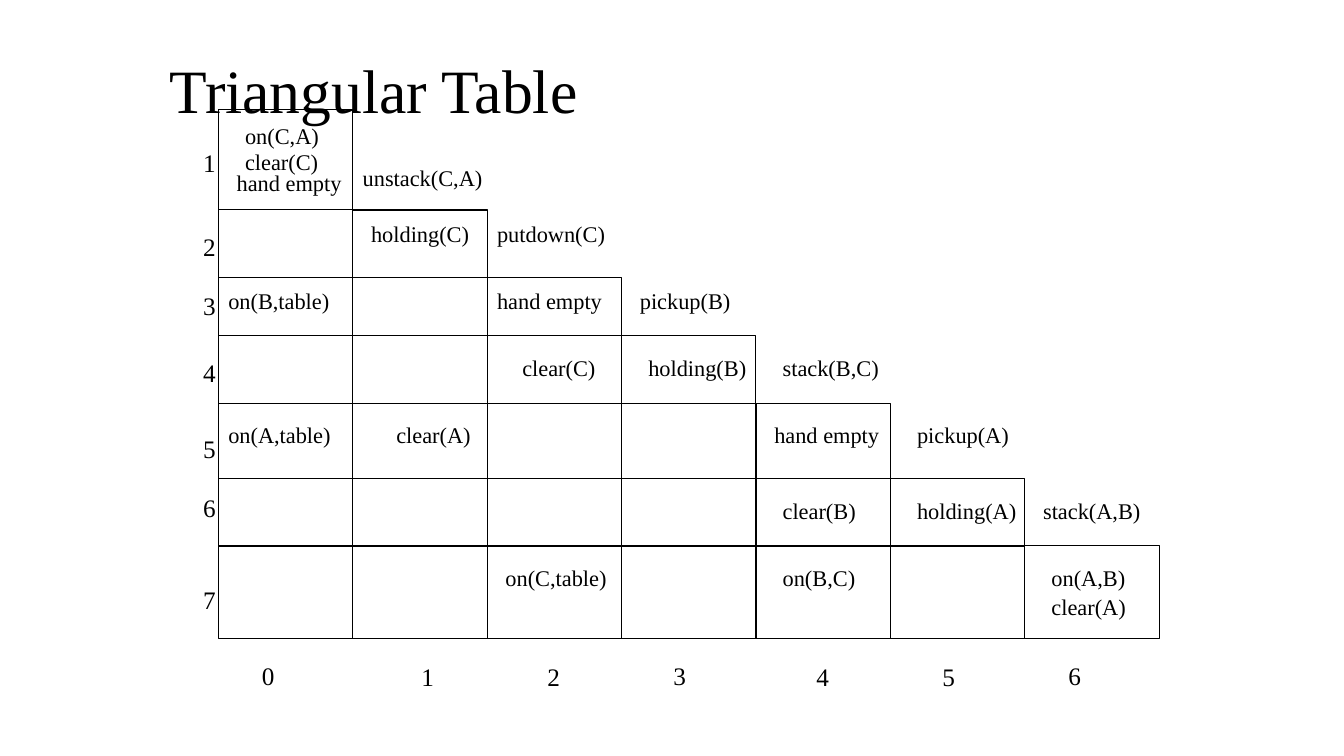
import dataclasses

import pptx
import pptx.dml.color
import pptx.enum.shapes
import pptx.enum.text
import pptx.oxml.ns
import pptx.util
from lxml import etree

COLOURS = {"ink": "000000", "paper": "FFFFFF"}
FONT = "Times New Roman"

# The slide is a grid of 160 by 90 square units, twelve to the inch
UNIT = pptx.util.Inches(1) / 12
SLIDE_WIDTH, SLIDE_HEIGHT = 160, 90

# Triangle: seven equal columns, each starting one row lower
LEFT, COLUMN_WIDTH = 26, 16
ROW_TOPS = [13, 25, 33, 40, 48, 57, 65]
BOTTOM = 76

# Numbers beside the rows and under the columns
ROW_NUMBER_LEFT, COLUMN_NUMBER_TOP = 23, 78
ROW_NUMBER_TOPS = [17, 27, 34, 42, 51, 58, 69]
COLUMN_NUMBER_LEFTS = [30, 49, 64, 79, 96, 111, 126]


@dataclasses.dataclass
class Label:
    text: str
    left: float
    top: float
    width: float = 19
    height: float = 4.4
    size: int = 16


@dataclasses.dataclass
class Fact:
    """A predicate or action, set in from the left edge of its column."""
    text: str
    column: int
    inset: float


# Facts by the height of their line of text
FACTS = {
    14: [Fact("on(C,A)", 0, 2)],
    17: [Fact("clear(C)", 0, 2)],
    19: [Fact("unstack(C,A)", 1, 0)],
    19.6: [Fact("hand empty", 0, 1)],
    25.6: [Fact("holding(C)", 1, 1), Fact("putdown(C)", 2, 0)],
    33.6: [Fact("on(B,table)", 0, 0), Fact("hand empty", 2, 0), Fact("pickup(B)", 3, 1)],
    41.6: [Fact("clear(C)", 2, 3), Fact("holding(B)", 3, 2), Fact("stack(B,C)", 4, 2)],
    49.6: [Fact("on(A,table)", 0, 0), Fact("clear(A)", 1, 4),
           Fact("hand empty", 4, 1), Fact("pickup(A)", 5, 2)],
    58.6: [Fact("clear(B)", 4, 2), Fact("holding(A)", 5, 2), Fact("stack(A,B)", 6, 1)],
    66.6: [Fact("on(C,table)", 2, 1), Fact("on(B,C)", 4, 2), Fact("on(A,B)", 6, 2)],
    70: [Fact("clear(A)", 6, 2)],
}


def grid(units: float) -> pptx.util.Emu:
    return pptx.util.Emu(round(units * UNIT))


def colour(name: str) -> pptx.dml.color.RGBColor:
    return pptx.dml.color.RGBColor.from_string(COLOURS[name])


def column_left(column: int) -> int:
    return LEFT + column * COLUMN_WIDTH


def add_text(page, label: Label):
    box = page.shapes.add_textbox(
        grid(label.left), grid(label.top), grid(label.width), grid(label.height))
    frame = box.text_frame
    frame.word_wrap = True
    frame.auto_size = pptx.enum.text.MSO_AUTO_SIZE.SHAPE_TO_FIT_TEXT
    para = frame.paragraphs[0]
    para.text = label.text
    para.font.name = FONT
    para.font.size = pptx.util.Pt(label.size)
    para.font.color.rgb = colour("ink")
    return frame


def style_line(line) -> None:
    line.color.rgb = colour("ink")
    line.width = pptx.util.Pt(0.75)


def add_title(page) -> None:
    frame = add_text(page, Label("Triangular Table", 20.2, 2.8, 136.3, 19.2, 44))
    frame.auto_size = pptx.enum.text.MSO_AUTO_SIZE.NONE
    frame.vertical_anchor = pptx.enum.text.MSO_ANCHOR.MIDDLE
    frame.margin_left = frame.margin_right = frame.margin_top = frame.margin_bottom = 0
    frame.paragraphs[0].line_spacing = 0.41


def add_column(page, column: int, top: float) -> None:
    shape = page.shapes.add_shape(
        pptx.enum.shapes.MSO_SHAPE.RECTANGLE, grid(column_left(column)), grid(top),
        grid(COLUMN_WIDTH), grid(BOTTOM - top))
    shape.shadow.inherit = False
    shape.fill.background()
    style_line(shape.line)


def add_row_line(page, right: float, top: float) -> None:
    line = page.shapes.add_connector(
        pptx.enum.shapes.MSO_CONNECTOR.STRAIGHT,
        grid(right), grid(top), grid(LEFT), grid(top))
    style_line(line.line)
    properties = line._element.find(pptx.oxml.ns.qn("p:spPr"))
    etree.SubElement(properties, pptx.oxml.ns.qn("a:effectLst"))


def main() -> None:
    deck = pptx.Presentation()
    deck.slide_width, deck.slide_height = grid(SLIDE_WIDTH), grid(SLIDE_HEIGHT)
    page = deck.slides.add_slide(deck.slide_layouts[6])
    page.background.fill.solid()
    page.background.fill.fore_color.rgb = colour("paper")

    add_title(page)

    # Columns, and the lines that divide them into rows
    for column, top in enumerate(ROW_TOPS):
        add_column(page, column, top)
    for column, top in enumerate(ROW_TOPS[1:], start=1):
        add_row_line(page, column_left(column), top)

    # Facts and actions
    for top, facts in FACTS.items():
        for fact in facts:
            add_text(page, Label(fact.text, column_left(fact.column) + fact.inset, top))

    # Row and column numbers
    for number, top in enumerate(ROW_NUMBER_TOPS, start=1):
        add_text(page, Label(str(number), ROW_NUMBER_LEFT, top, 7, 4.8, 18))
    for number, left in enumerate(COLUMN_NUMBER_LEFTS):
        # Every third number sits slightly higher
        top = COLUMN_NUMBER_TOP + (0.2 if number % 3 else 0)
        add_text(page, Label(str(number), left, top, 7, 4.8, 18))

    deck.save("out.pptx")


if __name__ == "__main__":
    main()
